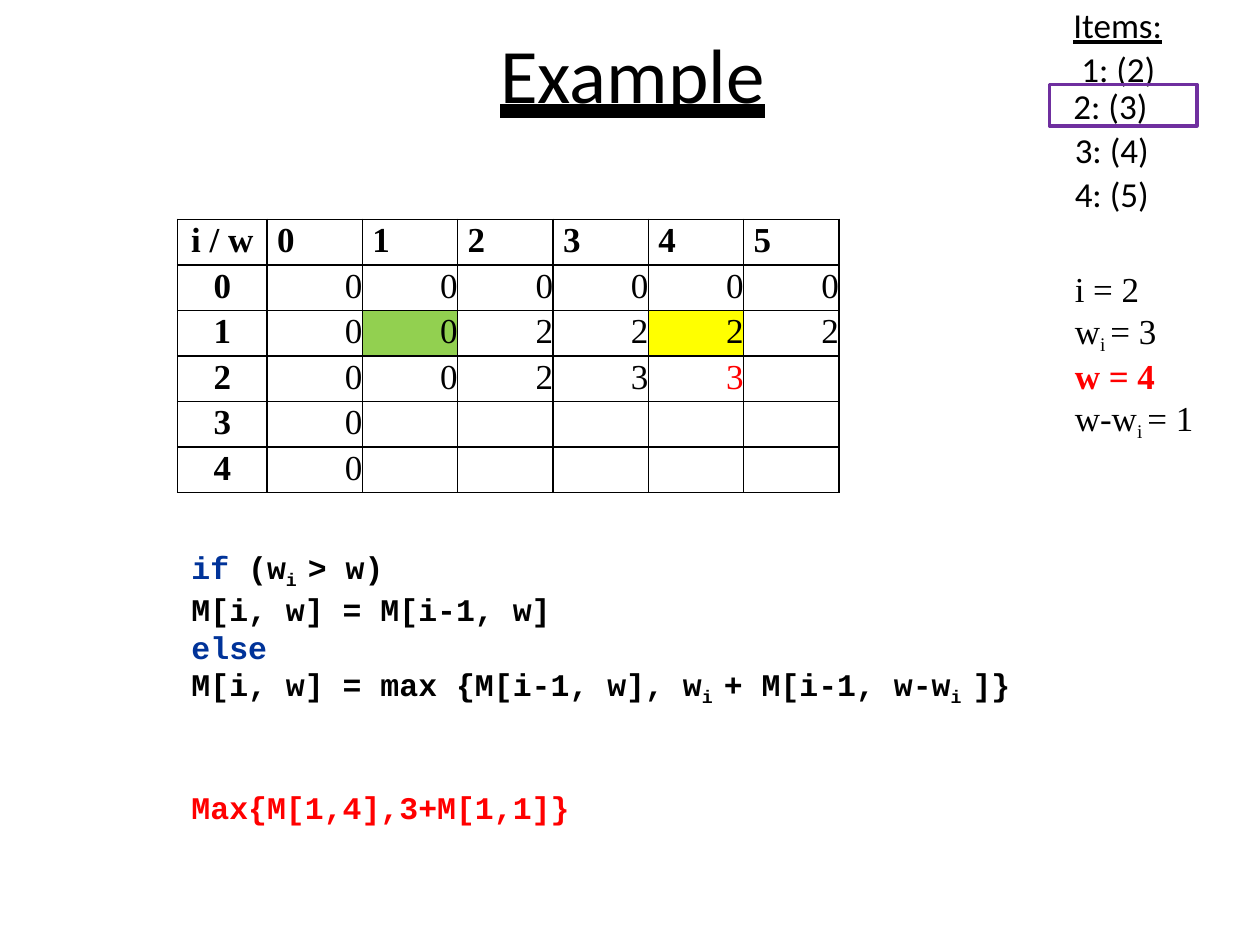
"""Build the knapsack example slide with its item list, value table and recurrence."""
from lxml import etree
from pptx import Presentation
from pptx import util as u
from pptx.dml.color import RGBColor
from pptx.enum import shapes, text
from pptx.oxml import ns

BLACK = RGBColor(0x00, 0x00, 0x00)
RED = RGBColor(0xFF, 0x00, 0x00)
NAVY = RGBColor(0x00, 0x33, 0x99)
PURPLE = RGBColor(0x6F, 0x2F, 0x9F)
GREEN = RGBColor(0x92, 0xD0, 0x50)
YELLOW = RGBColor(0xFF, 0xFF, 0x00)
SANS, SERIF, MONO = "Calibri", "Times New Roman", "Courier New"


class SlideBuilder:
    """Hold the text style and the current page."""

    def __init__(self, page, size=20):
        self.page = page
        self.size = size

    def span(self, para, words, font=SANS, size=None, color=BLACK,
             bold=False, underline=False, sub=False):
        """Add one run to a paragraph."""
        run = para.add_run()
        run.text = words
        run.font.name = font
        run.font.size = u.Pt(size or self.size)
        run.font.color.rgb = color
        run.font.bold = bold
        run.font.underline = underline
        if sub:
            run.font._element.set("baseline", "-21000")

    def frame(self, box, paras, indent=0.0, **style):
        """Fill a shape with paragraphs given as (spacing, spans)."""
        frame = box.text_frame
        frame.word_wrap = True
        frame.auto_size = text.MSO_AUTO_SIZE.NONE
        frame.vertical_anchor = text.MSO_ANCHOR.TOP
        frame.margin_left = frame.margin_right = frame.margin_bottom = 0
        frame.margin_top = u.Inches(0.01)
        for index, (spacing, spans) in enumerate(paras):
            para = frame.add_paragraph() if index else frame.paragraphs[0]
            para._p.get_or_add_pPr().set("marL", str(u.Inches(indent)))
            para.alignment = text.PP_ALIGN.LEFT
            for name, points in spacing.items():
                setattr(para, name, u.Pt(points))
            for words, extra in spans:
                self.span(para, words, **{**style, **extra})

    def title(self, words, place):
        """Place and fill the title."""
        box = self.page.shapes.title
        box.left, box.top, box.width, box.height = map(u.Inches, place)
        underline = text.MSO_UNDERLINE.HEAVY_LINE
        self.frame(box, [({}, [(words, {})])], 0.05, size=44, underline=underline)

    def text(self, place, paras, indent, **style):
        """Add a text box."""
        box = self.page.shapes.add_textbox(*map(u.Inches, place))
        self.frame(box, paras, indent, **style)

    def outline(self, place, paras, indent, color):
        """Add an unfilled rectangle around text."""
        box = self.page.shapes.add_shape(
            shapes.MSO_SHAPE.RECTANGLE, *map(u.Inches, place))
        box.shadow.inherit = False
        box.fill.background()
        box.line.color.rgb = color
        box.line.width = u.Pt(2)
        self.frame(box, paras, indent)

    def border(self, cell):
        """Draw a thin black line on every side of a cell."""
        properties = cell._tc.get_or_add_tcPr()
        for side in ("lnL", "lnR", "lnT", "lnB"):
            line = etree.SubElement(properties, ns.qn(f"a:{side}"), w=str(u.Pt(1)))
            fill = etree.SubElement(line, ns.qn("a:solidFill"))
            etree.SubElement(fill, ns.qn("a:srgbClr"), val=str(BLACK))

    def table(self, place, rows, first_width, fills, colors):
        """Add a bordered grid with a header row and header column."""
        grid = self.page.shapes.add_table(
            len(rows), len(rows[0]), *map(u.Inches, place)).table
        grid.first_row = grid.horz_banding = False
        other_width = (place[2] - first_width) / (len(rows[0]) - 1)
        for index, column in enumerate(grid.columns):
            column.width = u.Inches(other_width if index else first_width)
        for r, row in enumerate(rows):
            for c, words in enumerate(row):
                cell = grid.cell(r, c)
                cell.margin_left = cell.margin_right = 0
                cell.margin_top = cell.margin_bottom = 0
                self.border(cell)
                if (r, c) in fills:
                    cell.fill.solid()
                    cell.fill.fore_color.rgb = fills[r, c]
                else:
                    cell.fill.background()
                para = cell.text_frame.paragraphs[0]
                para.line_spacing = u.Pt(23.4)
                if c == 0:
                    para.alignment = text.PP_ALIGN.CENTER
                elif r == 0:
                    para._p.get_or_add_pPr().set("marL", str(u.Inches(0.08)))
                else:
                    para.alignment = text.PP_ALIGN.RIGHT
                if words:
                    self.span(para, words, SERIF, bold=r == 0 or c == 0,
                              color=colors.get((r, c), BLACK))


def main():
    """Build and save the deck."""
    deck = Presentation()
    deck.slide_width, deck.slide_height = u.Inches(10), u.Inches(7.5)
    slide = SlideBuilder(deck.slides.add_slide(deck.slide_layouts[5]))
    slide.title("Example", (3.92, 0.2, 2.16, 0.76))

    serif = {"font": SERIF}
    sub = {"sub": True}
    slide.text((6.88, 1.01, 2.62, 2.46), [
        ({}, [("3: (4)", {})]),
        ({"space_before": 1.2}, [("4: (5)", {})]),
        ({"space_before": 30}, [("i = 2", serif)]),
        ({}, [("w", serif), ("i ", {**serif, **sub, "size": 19}), ("= 3", serif)]),
        ({}, [("w = 4", {**serif, "color": RED, "bold": True})]),
        ({}, [("w-w", serif), ("i ", {**serif, **sub, "size": 19}), ("= 1", serif)]),
    ], 1.65)
    slide.text((8.51, 0, 0.73, 0.71), [
        ({"line_spacing": 25.2}, [("Items: ", {"underline": True}), (" 1: (2)", {})]),
    ], 0.01)
    slide.outline((8.33, 0.67, 1.17, 0.33), [
        ({"line_spacing": 23.6}, [("2: (3)", {})]),
    ], 0.19, PURPLE)

    keyword = {"color": NAVY}
    slide.text((1.46, 4.34, 7.98, 2.13), [
        ({}, [("if ", keyword), ("(w", {}), ("i ", sub), ("> w)", {})]),
        ({}, [("M[i, w] = M[i-1, w]", {})]),
        ({}, [("else", keyword)]),
        ({}, [("M[i, w] = max {M[i-1, w], w", {}), ("i ", sub),
              ("+ M[i-1, w-w", {}), ("i ", sub), ("]}", {})]),
        ({"space_before": 46}, [("Max{M[1,4],3+M[1,1]}", {"color": RED})]),
    ], 0.06, font=MONO, size=18, bold=True)

    slide.table((1.41, 1.74, 5.25, 2.17), [
        ["i / w", "0", "1", "2", "3", "4", "5"],
        ["0", "0", "0", "0", "0", "0", "0"],
        ["1", "0", "0", "2", "2", "2", "2"],
        ["2", "0", "0", "2", "3", "3", ""],
        ["3", "0", "", "", "", "", ""],
        ["4", "0", "", "", "", "", ""],
    ], 0.71, {(2, 2): GREEN, (2, 5): YELLOW}, {(3, 5): RED})
    deck.save("out.pptx")


if __name__ == "__main__":
    main()
